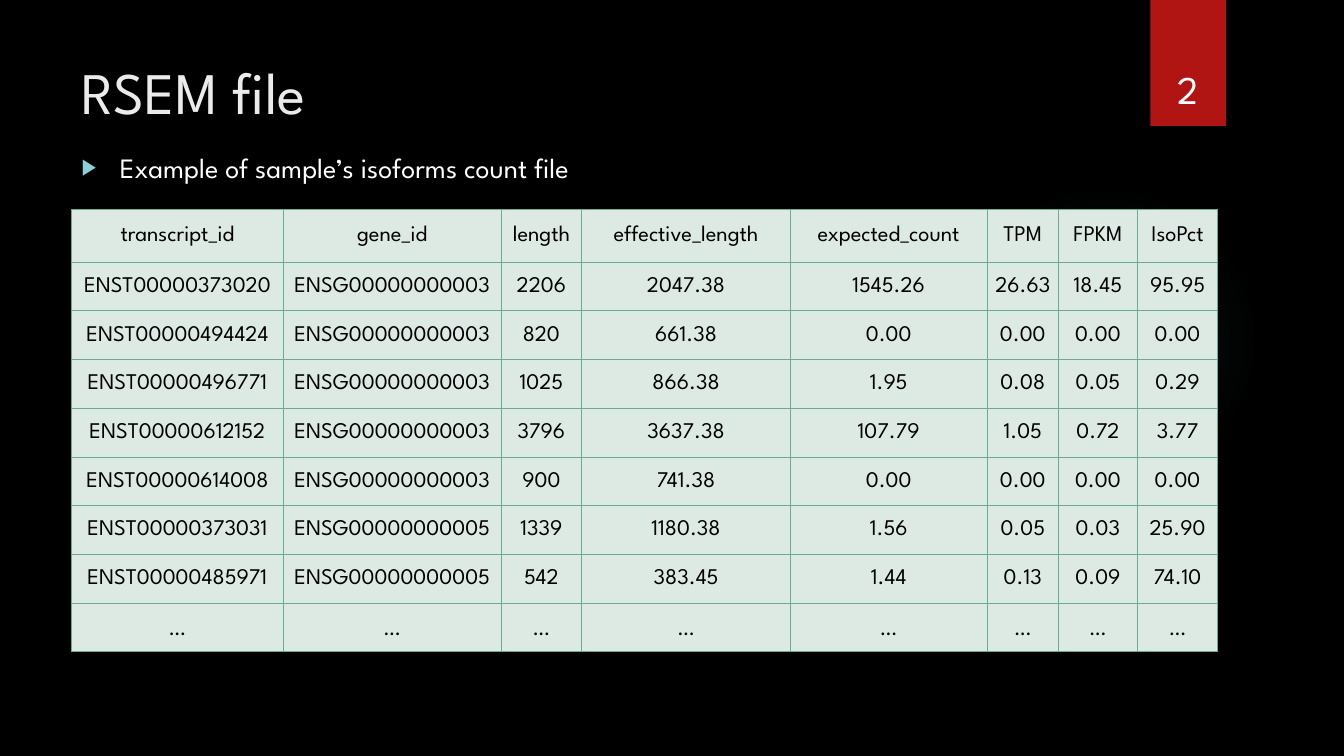
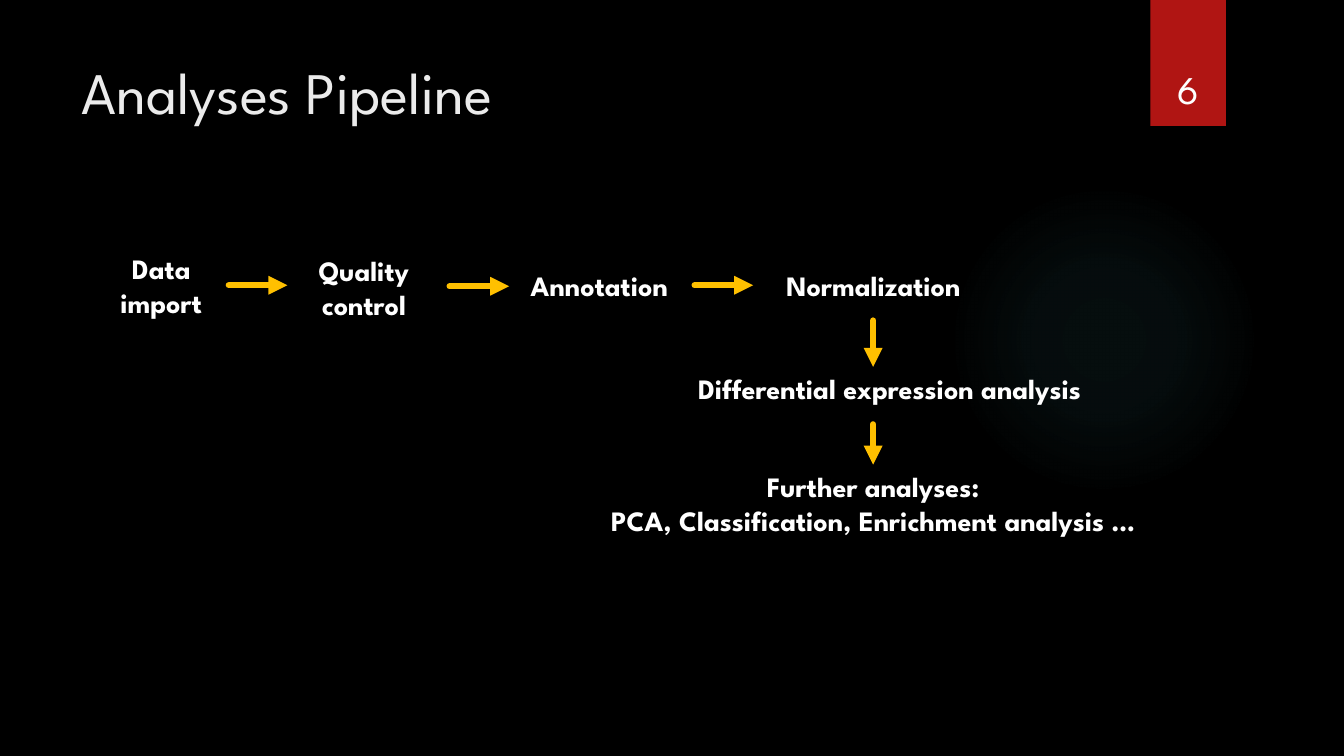
from pptx import Presentation
from pptx.dml.color import RGBColor
from pptx.enum.shapes import MSO_CONNECTOR, MSO_SHAPE
from pptx.enum.text import MSO_ANCHOR, MSO_AUTO_SIZE, PP_ALIGN
from pptx.oxml import parse_xml
from pptx.oxml.ns import nsdecls
from pptx.util import Inches, Pt

BLACK = RGBColor(0x00, 0x00, 0x00)
WHITE = RGBColor(0xFF, 0xFF, 0xFF)
PALE = RGBColor(0xEB, 0xEB, 0xEB)
RED = RGBColor(0xB0, 0x15, 0x13)
GOLD = RGBColor(0xFF, 0xC0, 0x00)
MINT = RGBColor(0xDD, 0xE9, 0xE3)
GREEN = RGBColor(0x6A, 0xAC, 0x90)
AQUA = RGBColor(0x8A, 0xD0, 0xD6)
TEAL = RGBColor(0x50, 0xB9, 0xC1)

FONT = "League Spartan"
GLOW = ((0, 7), (36, 6), (69, 0))  # position and opacity, in percent

COLS = (2.1, 2.16, 0.8, 2.07, 1.95, 0.71, 0.78, 0.8)
HEAD = 0.52
ROWS = (
    ("transcript_id", "gene_id", "length", "effective_length",
     "expected_count", "TPM", "FPKM", "IsoPct"),
    ("ENST00000373020", "ENSG00000000003", "2206", "2047.38",
     "1545.26", "26.63", "18.45", "95.95"),
    ("ENST00000494424", "ENSG00000000003", "820", "661.38",
     "0.00", "0.00", "0.00", "0.00"),
    ("ENST00000496771", "ENSG00000000003", "1025", "866.38",
     "1.95", "0.08", "0.05", "0.29"),
    ("ENST00000612152", "ENSG00000000003", "3796", "3637.38",
     "107.79", "1.05", "0.72", "3.77"),
    ("ENST00000614008", "ENSG00000000003", "900", "741.38",
     "0.00", "0.00", "0.00", "0.00"),
    ("ENST00000373031", "ENSG00000000005", "1339", "1180.38",
     "1.56", "0.05", "0.03", "25.90"),
    ("ENST00000485971", "ENSG00000000005", "542", "383.45",
     "1.44", "0.13", "0.09", "74.10"),
    ("…",) * len(COLS),
)

# Steps and arrows are placed from the top left corner of the flow.
STEPS = (
    ("Data import", (0, 0, 1.6, 0.77), True),
    ("Quality control", (2.01, 0.02, 1.6, 0.77), True),
    ("Annotation", (4.3, 0.16, 1.69, 0.44), False),
    ("Normalization", (6.83, 0.16, 2.07, 0.44), False),
    ("Differential expression analysis", (5.86, 1.19, 4.33, 0.44), False),
    ("Further analyses:\nPCA, Classification, Enrichment analysis …",
     (4.9, 2.16, 5.92, 0.77), False),
)
ARROWS = (
    (1.47, 0.38, 2.05, 0.38),
    (3.66, 0.39, 4.25, 0.39),
    (6.09, 0.38, 6.67, 0.38),
    (7.86, 0.73, 7.86, 1.19),
    (7.86, 1.76, 7.86, 2.16),
)


def inch(box):
    return [Inches(n) for n in box]


def write(frame, text, size=20, color=WHITE, font=FONT, bold=False,
          align=PP_ALIGN.LEFT, anchor=MSO_ANCHOR.TOP, wrap=True):
    """Fill a text frame or a table cell, one paragraph a line."""
    frame.vertical_anchor = anchor
    frame.word_wrap = wrap
    frame.text = text
    for para in frame.paragraphs:
        para.alignment = align
        for run in para.runs:
            run.font.name = font
            run.font.size = Pt(size)
            run.font.bold = bold
            run.font.color.rgb = color


def label(slide, box, text, **style):
    shape = slide.shapes.add_textbox(*inch(box))
    write(shape.text_frame, text, **style)
    return shape


def place(holder, box, text, **style):
    """Move a placeholder to the box and write its text."""
    holder.left, holder.top, holder.width, holder.height = inch(box)
    holder.text_frame.auto_size = MSO_AUTO_SIZE.NONE
    write(holder.text_frame, text, **style)


def plain(slide, kind, box, color):
    shape = slide.shapes.add_shape(kind, *inch(box))
    shape.shadow.inherit = False
    shape.fill.solid()
    shape.fill.fore_color.rgb = color
    shape.line.fill.background()
    return shape


def glow(slide, box):
    """Draw a disc that fades out from its centre."""
    props = plain(slide, MSO_SHAPE.OVAL, box, TEAL).element.spPr
    stops = "".join(
        f'<a:gs pos="{pos * 1000}"><a:srgbClr val="{TEAL}">'
        f'<a:alpha val="{alpha * 1000}"/></a:srgbClr></a:gs>'
        for pos, alpha in GLOW)
    grad = parse_xml(
        f'<a:gradFill {nsdecls("a")}><a:gsLst>{stops}</a:gsLst>'
        '<a:path path="circle"><a:fillToRect l="50000" t="50000" '
        'r="50000" b="50000"/></a:path></a:gradFill>')
    props.replace(props.find("{*}solidFill"), grad)


def band(slide, box, number):
    """Draw the red flag with the slide number at its foot."""
    left, top, width, height = box
    flag = plain(slide, MSO_SHAPE.RECTANGLE, box, RED)
    flag.element.spPr.find("{*}effectLst").append(parse_xml(
        f'<a:outerShdw {nsdecls("a")} blurRad="{Pt(3)}" dist="{Pt(2)}" '
        f'dir="5400000" rotWithShape="0"><a:srgbClr val="{BLACK}">'
        '<a:alpha val="45000"/></a:srgbClr></a:outerShdw>'))
    label(slide, (left - 0.09, top + 0.32, width + 0.17, height - 0.41),
          str(number), size=28, align=PP_ALIGN.CENTER,
          anchor=MSO_ANCHOR.BOTTOM)


def start(deck, layout, title, number):
    """Add a slide with the parts that all slides share."""
    slide = deck.slides.add_slide(deck.slide_layouts[layout])
    glow(slide, (9.41, 1.83, 3.08, 3.08))
    band(slide, (11.41, 0, 0.75, 1.25), number)
    place(slide.shapes.title, (0.71, 0.5, 10.29, 0.95), title,
          size=42, color=PALE)
    return slide


def bullet(holder, box, text):
    place(holder, box, text)
    para = holder.text_frame.paragraphs[0]
    para.space_before = Pt(10)
    props = para._p.get_or_add_pPr()
    props.set("marL", str(Inches(0.38)))
    props.set("indent", str(Inches(-0.38)))
    for mark in (
            f'<a:buClr {nsdecls("a")}><a:srgbClr val="{AQUA}"/></a:buClr>',
            f'<a:buSzPct {nsdecls("a")} val="80000"/>',
            f'<a:buChar {nsdecls("a")} char="▶"/>'):
        props.append(parse_xml(mark))


def border(cell):
    props = cell._tc.get_or_add_tcPr()
    for side in "LRTB":
        props.append(parse_xml(
            f'<a:ln{side} {nsdecls("a")} w="{Pt(0.75)}"><a:solidFill>'
            f'<a:srgbClr val="{GREEN}"/></a:solidFill></a:ln{side}>'))


def grid(slide, box):
    """Draw the table of counts."""
    table = slide.shapes.add_table(len(ROWS), len(COLS), *inch(box)).table
    table.first_row = table.horz_banding = False
    for col, width in zip(table.columns, COLS):
        col.width = Inches(width)
    step = (box[3] - HEAD) / (len(ROWS) - 1)
    for r, row in enumerate(ROWS):
        table.rows[r].height = Inches(step if r else HEAD)
        font = "Calibri" if row is ROWS[-1] else FONT
        for c, text in enumerate(row):
            cell = table.cell(r, c)
            border(cell)
            cell.fill.solid()
            cell.fill.fore_color.rgb = MINT
            cell.margin_left = cell.margin_right = Inches(0.01)
            cell.margin_top, cell.margin_bottom = Inches(0.01), 0
            write(cell.text_frame, text, size=16, color=BLACK, font=font,
                  align=PP_ALIGN.CENTER)
            cell.vertical_anchor = MSO_ANCHOR.MIDDLE


def arrow(slide, ends):
    link = slide.shapes.add_connector(MSO_CONNECTOR.STRAIGHT, *inch(ends))
    link.line.color.rgb = GOLD
    link.line.width = Pt(4.5)
    line = link.line._get_or_add_ln()
    line.set("cap", "rnd")
    line.append(parse_xml(f'<a:tailEnd {nsdecls("a")} type="triangle"/>'))
    link.element.spPr.append(parse_xml(f'<a:effectLst {nsdecls("a")}/>'))
    return link


def flow(slide, left, top):
    """Draw the steps of the pipeline and the arrows between them."""
    for text, (x, y, width, height), wrap in STEPS:
        step = label(slide, (left + x, top + y, width, height), text,
                     bold=True, align=PP_ALIGN.CENTER, wrap=wrap)
    for x1, y1, x2, y2 in ARROWS:
        link = arrow(slide, (left + x1, top + y1, left + x2, top + y2))
    link.end_connect(step, 0)  # the last arrow meets the last step


def counts(deck):
    slide = start(deck, 1, "RSEM file", 2)
    bullet(slide.placeholders[1], (0.71, 1.44, 8.54, 0.56),
           "Example of sample’s isoforms count file")
    grid(slide, (0.71, 2.08, 11.37, 4.39))


def pipeline(deck):
    slide = start(deck, 5, "Analyses Pipeline", 6)
    flow(slide, 0.8, 2.45)


def main():
    deck = Presentation()
    deck.slide_width, deck.slide_height = inch((13.33, 7.5))
    back = deck.slide_master.background.fill
    back.solid()
    back.fore_color.rgb = BLACK
    counts(deck)
    pipeline(deck)
    deck.save("out.pptx")


if __name__ == "__main__":
    main()
